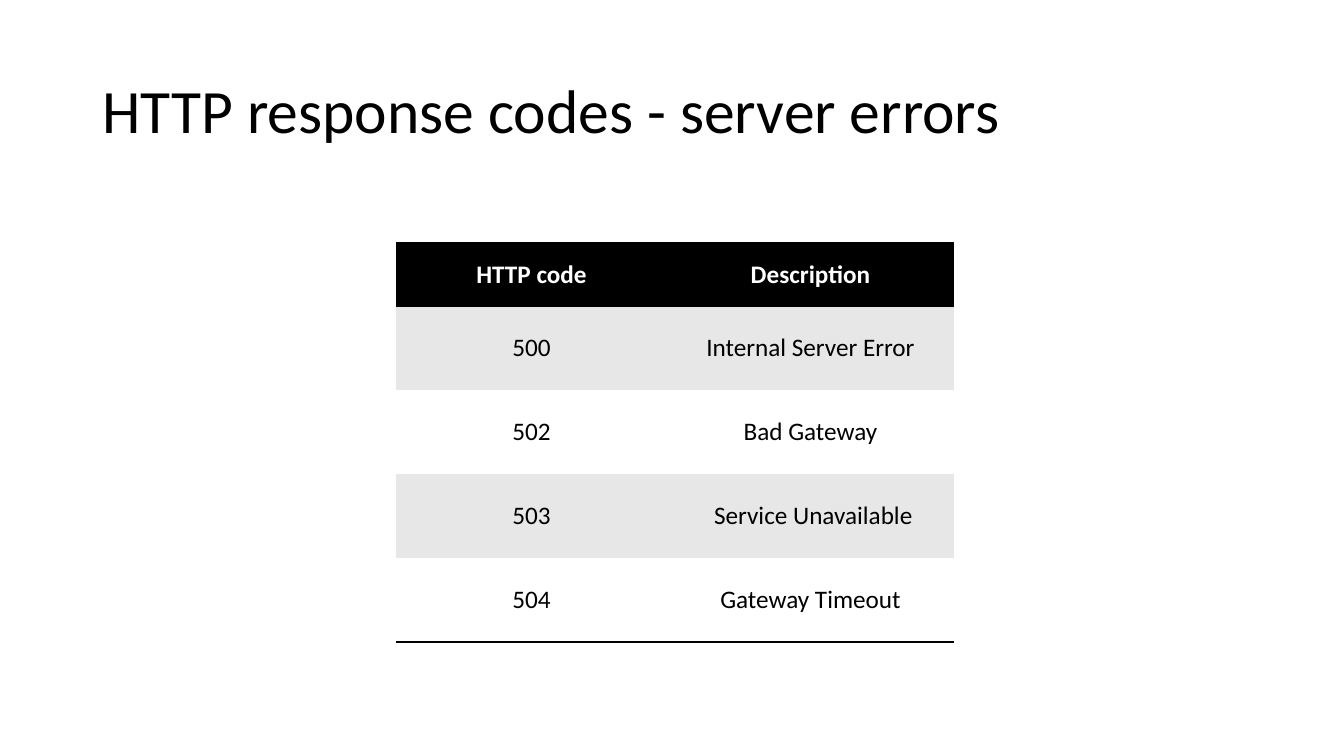
"""Build a slide with a table of HTTP server error codes."""
from lxml import etree
from pptx import Presentation
from pptx import util as u
from pptx.dml import color
from pptx.enum import text
from pptx.oxml import ns


def set_font(paragraph, size, hex_color, bold=False):
    font_format = {"name": "Calibri", "size": u.Pt(size), "bold": bold}
    for name, value in font_format.items():
        setattr(paragraph.font, name, value)
    paragraph.font.color.rgb = color.RGBColor.from_string(hex_color)


def add_border(cell, side):
    properties = cell._tc.get_or_add_tcPr()
    line = etree.SubElement(properties, ns.qn(f"a:ln{side}"), w=str(u.Pt(2)))
    fill = etree.SubElement(line, ns.qn("a:solidFill"))
    etree.SubElement(fill, ns.qn("a:srgbClr"), val="000000")


presentation = Presentation()
presentation.slide_width = u.Cm(33.87)
presentation.slide_height = u.Cm(19.05)
slide = presentation.slides.add_slide(presentation.slide_layouts[6])

title = slide.shapes.add_textbox(u.Cm(2.33), u.Cm(1.01), u.Cm(29.21), u.Cm(3.68))
title.text_frame.word_wrap = True
title.text_frame.vertical_anchor = text.MSO_ANCHOR.MIDDLE
title_paragraph = title.text_frame.paragraphs[0]
title_paragraph.text = "HTTP response codes - server errors"
title_paragraph.line_spacing = 0.9
set_font(title_paragraph, 44, "000000")

rows = [
    ("HTTP code", "Description"),
    ("500", "Internal Server Error"),
    ("502", "Bad Gateway"),
    ("503", " Service Unavailable"),
    ("504", "Gateway Timeout"),
]
column_widths = [6.83, 7.23]
header_height, code_height = 1.57, 2.12
row_heights = [header_height] + [code_height] * (len(rows) - 1)
borders = {0: "TB", len(rows) - 1: "B"}
cell_format = {
    "vertical_anchor": text.MSO_ANCHOR.MIDDLE,
    "margin_left": u.Cm(0.13),
    "margin_right": u.Cm(0.13),
    "margin_top": u.Cm(0.13),
    "margin_bottom": u.Cm(0.13),
}

table = slide.shapes.add_table(
    len(rows), len(column_widths), u.Cm(9.98), u.Cm(6.13),
    u.Cm(sum(column_widths)), u.Cm(sum(row_heights)),
).table
no_grid_style = "{2D5ABB26-0587-4C30-8999-92F81FD0307C}"
table._tbl.tblPr.find(ns.qn("a:tableStyleId")).text = no_grid_style
for column, width in zip(table.columns, column_widths):
    column.width = u.Cm(width)

for row_index, (labels, height) in enumerate(zip(rows, row_heights)):
    is_header = row_index == 0
    band = "000000" if is_header else "E7E7E7" if row_index % 2 else "FFFFFF"
    table.rows[row_index].height = u.Cm(height)
    for cell, label in zip(table.rows[row_index].cells, labels):
        for name, value in cell_format.items():
            setattr(cell, name, value)
        for side in borders.get(row_index, ""):
            add_border(cell, side)
        cell.fill.solid()
        cell.fill.fore_color.rgb = color.RGBColor.from_string(band)
        paragraph = cell.text_frame.paragraphs[0]
        paragraph.text = label
        paragraph.alignment = text.PP_ALIGN.CENTER
        set_font(paragraph, 18, "FFFFFF" if is_header else "000000", is_header)

presentation.save("out.pptx")
